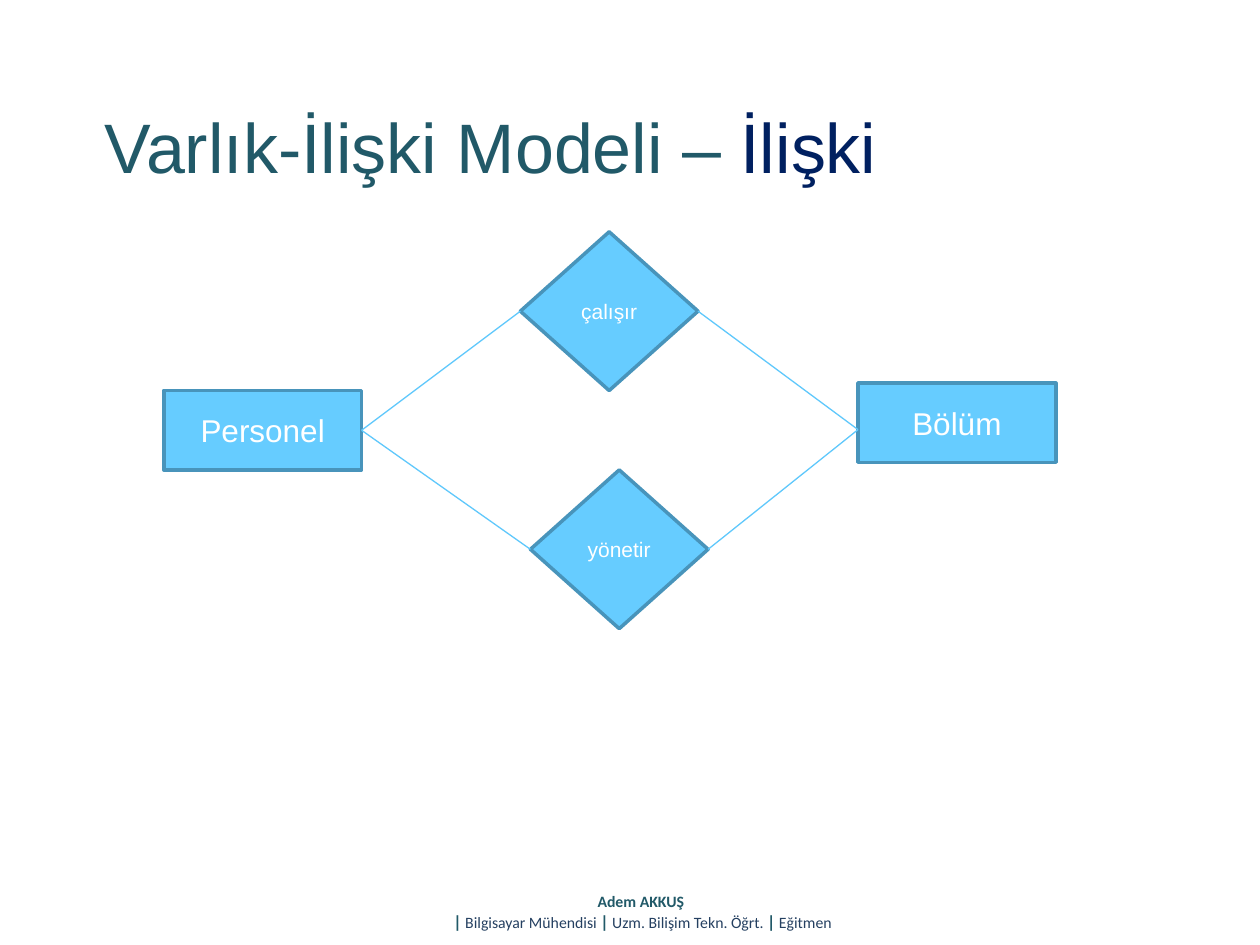
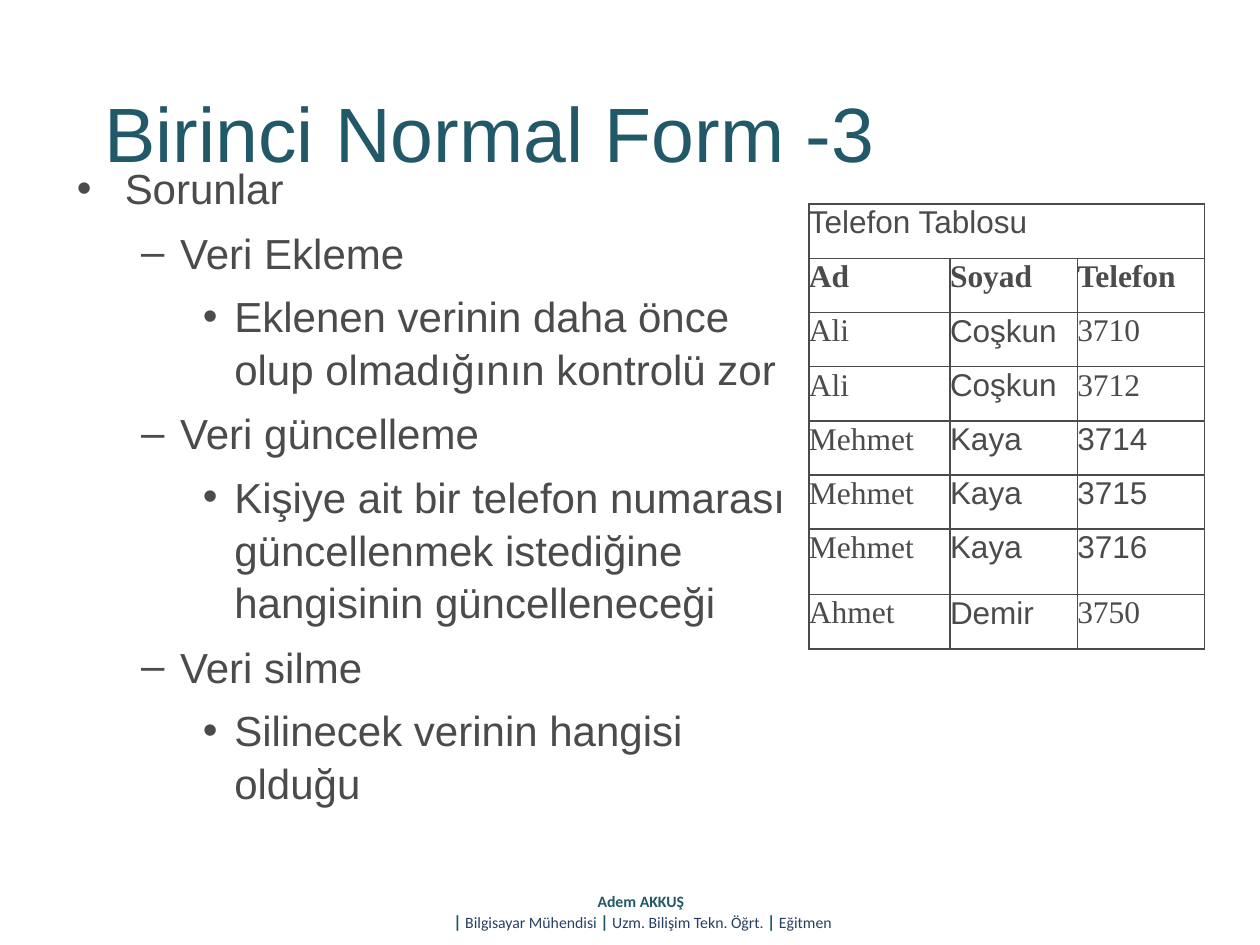
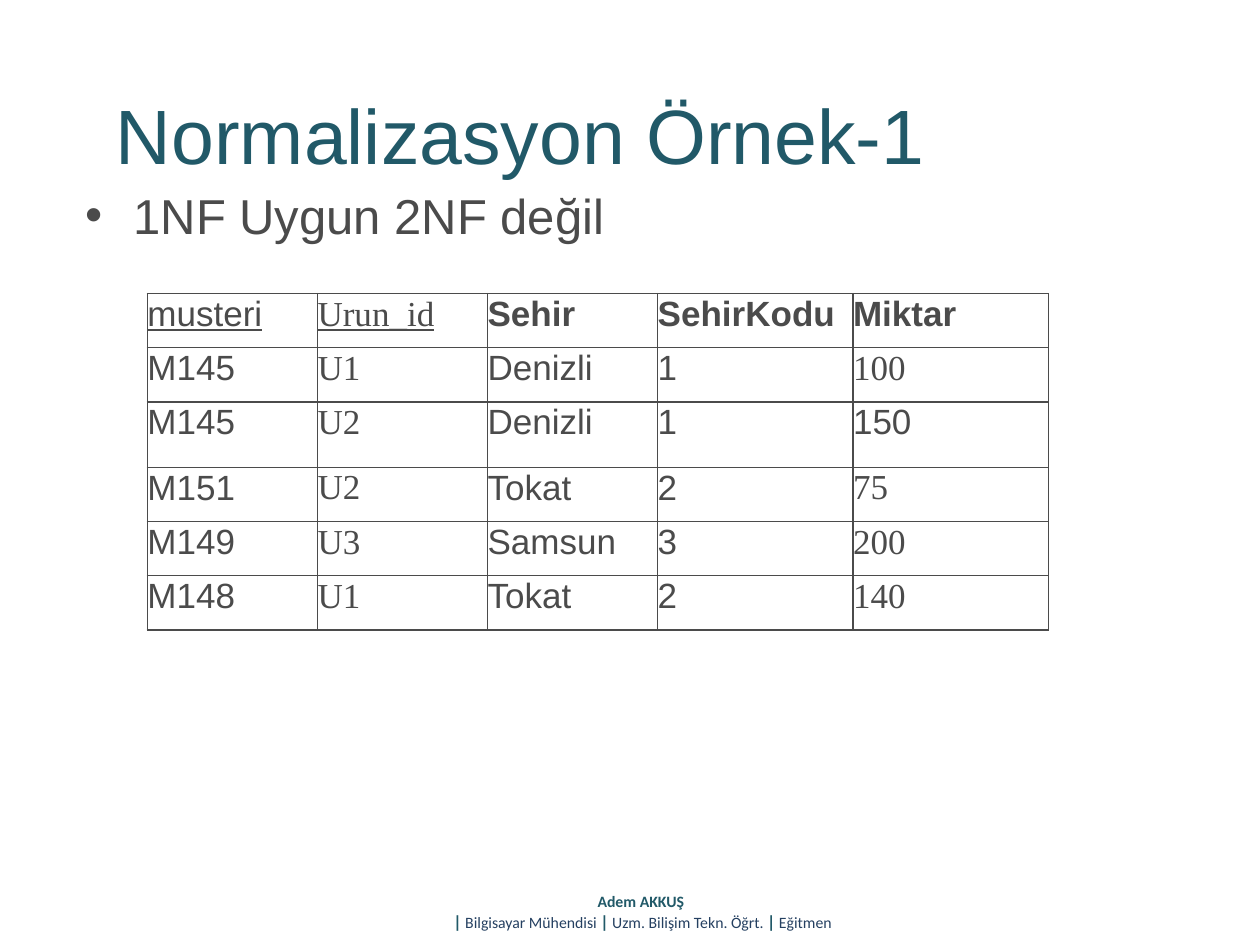
from dataclasses import dataclass
from functools import partial

from lxml.etree import SubElement
from pptx import Presentation
from pptx.dml.color import RGBColor
from pptx.enum.shapes import MSO_CONNECTOR, MSO_SHAPE
from pptx.enum.text import MSO_ANCHOR, MSO_AUTO_SIZE, PP_ALIGN
from pptx.oxml.ns import qn
from pptx.util import Inches, Pt

TEAL = RGBColor(0x21, 0x59, 0x68)
NAVY = RGBColor(0x00, 0x20, 0x60)
BLUE = RGBColor(0x25, 0x40, 0x61)
GREY = RGBColor(0x4B, 0x4B, 0x4B)
SKY = RGBColor(0x66, 0xCC, 0xFF)
EDGE = RGBColor(0x48, 0x94, 0xBB)
LINK = RGBColor(0x5F, 0xC8, 0xFC)
WHITE = RGBColor(0xFF, 0xFF, 0xFF)
SANS, SERIF, SMALL = "Arial", "Times New Roman", "Calibri"
LEADING = 1.05
ROLES = ("Bilgisayar Mühendisi", "Uzm. Bilişim Tekn. Öğrt.", "Eğitmen")
INDENTS = ((0.39, -0.38), (0.83, -0.31), (1.26, -0.25))


@dataclass
class Box:
    left: float
    top: float
    width: float
    height: float

    def lengths(self):
        return [Inches(n) for n in (self.left, self.top, self.width, self.height)]


@dataclass
class Node:
    text: str
    kind: MSO_SHAPE
    box: Box
    size: int


@dataclass
class Item:
    text: str
    level: int = 0
    before: float = 6
    bullet: bool = True


@dataclass
class Cell:
    text: str
    font: str = SANS
    bold: bool = False
    under: bool = False


Roman = partial(Cell, font=SERIF)


def style(font, size: float, color: RGBColor, name: str = SANS, bold: bool = False) -> None:
    font.size, font.name, font.bold = Pt(size), name, bold
    font.color.rgb = color


def place(shape, box: Box, inset: float = 0.01):
    shape.left, shape.top, shape.width, shape.height = box.lengths()
    frame = shape.text_frame
    frame.margin_left = frame.margin_right = frame.margin_bottom = 0
    frame.margin_top = Inches(inset)
    frame.word_wrap = True
    frame.auto_size = MSO_AUTO_SIZE.NONE
    frame.vertical_anchor = MSO_ANCHOR.TOP
    return frame


def add_title(slide, text: str, box: Box, size: int = 44, tail: str = "") -> None:
    para = place(slide.shapes.title, box).paragraphs[0]
    para.alignment = PP_ALIGN.LEFT
    para.space_before = Pt(1)
    para.line_spacing = LEADING
    style(para.font, size, TEAL)
    para.add_run().text = text
    if tail:
        run = para.add_run()
        run.text = tail
        run.font.color.rgb = NAVY


def add_list(slide, items: list[Item], box: Box, size: int, inset: float) -> None:
    frame = place(slide.placeholders[1], box, inset)
    for num, item in enumerate(items):
        para = frame.add_paragraph() if num else frame.paragraphs[0]
        para.text = item.text
        para.level = item.level
        para.space_before = Pt(item.before)
        para.line_spacing = LEADING
        style(para.font, size, GREY)
        margin, hang = INDENTS[item.level]
        props = para._p.get_or_add_pPr()
        props.set("marL", str(Inches(margin)))
        props.set("indent", str(Inches(hang if item.bullet else 0)))
        if not item.bullet:
            mark = props.makeelement(qn("a:buNone"), {})
            props.insert_element_before(mark, "a:tabLst", "a:defRPr", "a:extLst")


def add_node(slide, node: Node):
    shape = slide.shapes.add_shape(node.kind, *node.box.lengths())
    shape.shadow.inherit = False
    shape.fill.solid()
    shape.fill.fore_color.rgb = SKY
    shape.line.color.rgb = EDGE
    shape.line.width = Pt(2)
    frame = place(shape, node.box, 0)
    frame.vertical_anchor = MSO_ANCHOR.MIDDLE
    para = frame.paragraphs[0]
    para.text = node.text
    para.alignment = PP_ALIGN.CENTER
    style(para.font, node.size, WHITE)
    return shape


def add_link(slide, start, side: int, x: float, y: float):
    line = slide.shapes.add_connector(
        MSO_CONNECTOR.STRAIGHT, Inches(x), Inches(y), Inches(x), Inches(y))
    line.begin_connect(start, side)
    line.line.color.rgb = LINK
    line.line.width = Pt(0.75)
    SubElement(line._element.spPr, qn("a:effectLst"))
    return line


def fill_cell(slot, cell: Cell, size: int) -> None:
    slot.margin_left = slot.margin_right = slot.margin_bottom = 0
    slot.margin_top = Inches(0.01)
    para = slot.text_frame.paragraphs[0]
    para.text = cell.text
    para.space_before = Pt(0.8)
    style(para.font, size, GREY, cell.font, cell.bold)
    para.font.underline = cell.under


def edge_cell(slot) -> None:
    props = slot._tc.get_or_add_tcPr()
    for side in ("L", "R", "T", "B"):
        line = SubElement(props, qn(f"a:ln{side}"), w=str(Pt(1)))
        fill = SubElement(line, qn("a:solidFill"))
        SubElement(fill, qn("a:srgbClr"), val=str(GREY))
    slot.fill.background()


def add_grid(slide, rows: list[list[Cell]], box: Box, widths: list[float],
             tall: int, size: int):
    table = slide.shapes.add_table(len(rows), len(widths), *box.lengths()).table
    table.first_row = table.horz_banding = False
    for col, width in zip(table.columns, widths):
        col.width = Inches(width)
    for num, cells in enumerate(rows):
        table.rows[num].height = Inches(0.52 if num == tall else 0.43)
        for col in range(len(widths)):
            edge_cell(table.cell(num, col))
        for col, cell in enumerate(cells):
            fill_cell(table.cell(num, col), cell, size)
    return table


def add_footer(slide) -> None:
    box = Box(3, 7.08, 4.2, 0.32)
    shape = slide.shapes.add_textbox(*box.lengths())
    para = place(shape, box, 0).paragraphs[0]
    para.alignment = PP_ALIGN.CENTER

    def add(text: str, size: int, color: RGBColor, bold: bool) -> None:
        run = para.add_run()
        run.text = text
        style(run.font, size, color, SMALL, bold)

    add("Adem AKKUŞ ", 9, TEAL, True)
    para.add_line_break()
    for role in ROLES:
        add("|", 10, TEAL, True)
        add(f" {role}" if role == ROLES[-1] else f" {role} ", 9, BLUE, False)


def draw_model(slide) -> None:
    add_title(slide, "Varlık-İlişki Modeli – ", Box(0.83, 0.78, 8.34, 0.7), 40, "İlişki")
    staff, unit, works, leads = [add_node(slide, node) for node in (
        Node("Personel", MSO_SHAPE.RECTANGLE, Box(1.3, 3.1, 1.57, 0.63), 18),
        Node("Bölüm", MSO_SHAPE.RECTANGLE, Box(6.81, 3.04, 1.57, 0.63), 18),
        Node("çalışır", MSO_SHAPE.DIAMOND, Box(4.13, 1.84, 1.41, 1.26), 12),
        Node("yönetir", MSO_SHAPE.DIAMOND, Box(4.21, 3.73, 1.41, 1.26), 12),
    )]
    for verb in (works, leads):
        add_link(slide, staff, 3, 4.13, 3.41).end_connect(verb, 1)
        add_link(slide, verb, 3, 6.81, 3.41)


def draw_form(slide) -> None:
    add_title(slide, "Birinci Normal Form -3", Box(0.83, 0.63, 8.25, 0.76))
    add_list(slide, [
        Item("Sorunlar", 0, 8.4),
        Item("Veri Ekleme", 1, 6.7),
        Item("Eklenen verinin daha önce", 2),
        Item("olup olmadığının kontrolü zor", 2, 0, False),
        Item("Veri güncelleme", 1, 6.6),
        Item("Kişiye ait bir telefon numarası güncellenmek istediğine "
             "hangisinin güncelleneceği", 2),
        Item("Veri silme", 1, 6.5),
        Item("Silinecek verinin hangisi\volduğu", 2),
    ], Box(0.6, 1.15, 5.9, 5.11), 24, 0.12)
    people = [
        ("Ali", "Coşkun", Roman("3710")),
        ("Ali", "Coşkun", Roman("3712")),
        ("Mehmet", "Kaya", Cell("3714")),
        ("Mehmet", "Kaya", Cell("3715")),
        ("Mehmet", "Kaya", Cell("3716")),
        ("Ahmet", "Demir", Roman("3750")),
    ]
    rows = [[Cell("Telefon Tablosu")],
            [Roman(text, bold=True) for text in ("Ad", "Soyad", "Telefon")]]
    rows += [[Roman(name), Cell(last), phone] for name, last, phone in people]
    table = add_grid(slide, rows, Box(6.42, 1.62, 3.14, 3.54), [1.12, 1.01, 1.01], 6, 18)
    table.cell(0, 0).merge(table.cell(0, 2))


def draw_sample(slide) -> None:
    add_title(slide, "Normalizasyon Örnek-1", Box(0.92, 0.65, 6.45, 0.76))
    add_list(slide, [Item("1NF Uygun 2NF değil", 0, 0.9)],
             Box(0.67, 1.44, 4.67, 0.48), 28, 0.01)
    sales = [
        ("M145", "U1", "Denizli", "1", Roman("100")),
        ("M145", "U2", "Denizli", "1", Cell("150")),
        ("M151", "U2", "Tokat", "2", Roman("75")),
        ("M149", "U3", "Samsun", "3", Roman("200")),
        ("M148", "U1", "Tokat", "2", Roman("140")),
    ]
    rows = [[Cell("musteri", under=True), Roman("Urun_id", under=True)]
            + [Cell(text, bold=True) for text in ("Sehir", "SehirKodu", "Miktar")]]
    rows += [[Cell(buyer), Roman(good), Cell(town), Cell(code), count]
             for buyer, good, town, code, count in sales]
    add_grid(slide, rows, Box(1.17, 2.33, 7.15, 2.67), [1.35] * 3 + [1.55] * 2, 2, 20)


def main() -> None:
    deck = Presentation()
    deck.slide_width, deck.slide_height = Inches(10), Inches(7.5)
    for draw, layout in ((draw_model, 5), (draw_form, 1), (draw_sample, 1)):
        slide = deck.slides.add_slide(deck.slide_layouts[layout])
        draw(slide)
        add_footer(slide)
    deck.save("out.pptx")


if __name__ == "__main__":
    main()
